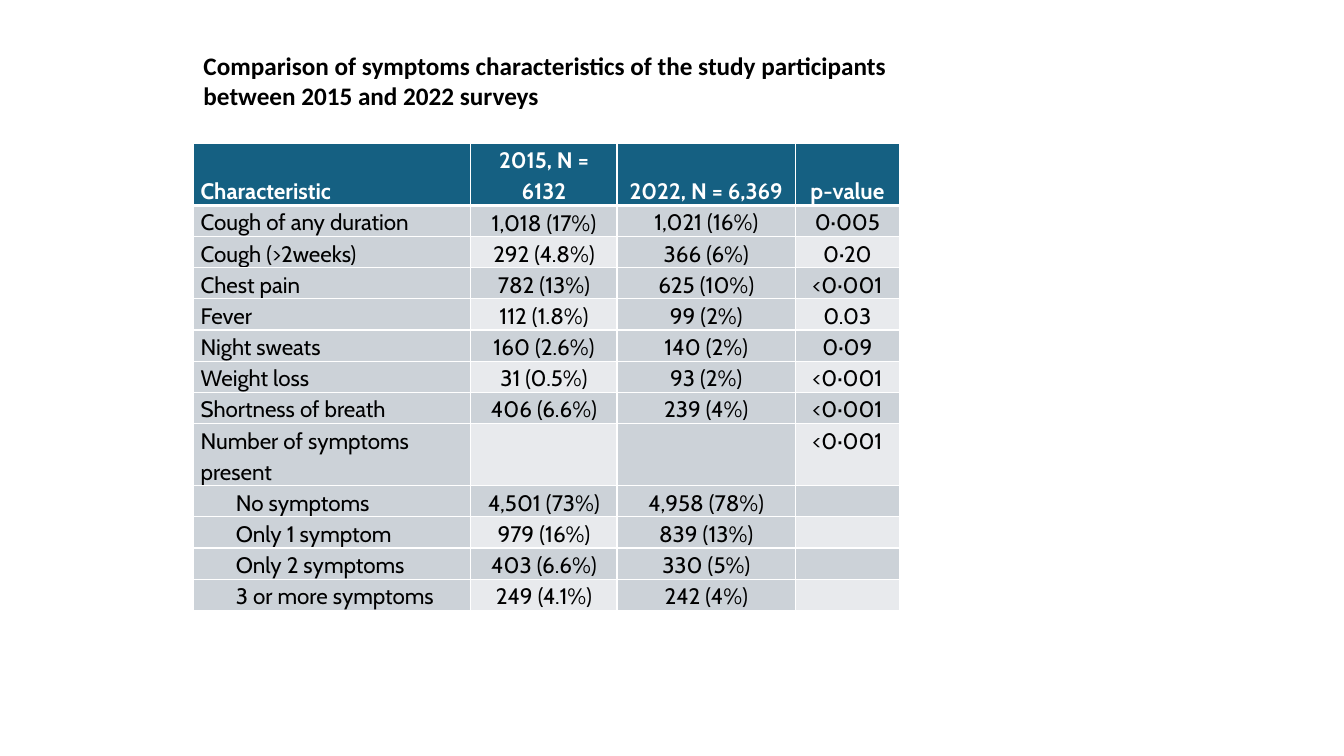
from lxml.etree import SubElement
from pptx import Presentation
from pptx.dml.color import RGBColor
from pptx.enum.text import MSO_ANCHOR, MSO_AUTO_SIZE, PP_ALIGN
from pptx.oxml.ns import qn
from pptx.util import Inches, Pt

TITLE = "Comparison of symptoms characteristics of the study participants between 2015 and 2022 surveys"
HEADER = ("Characteristic", "2015, N = 6132", "2022, N = 6,369", "p-value")
SYMPTOMS = [
    ("Cough of any duration", "1,018 (17%)", "1,021 (16%)", "0·005"),
    ("Cough (>2weeks)", "292 (4.8%)", "366 (6%)", "0·20"),
    ("Chest pain", "782 (13%)", "625 (10%)", "<0·001"),
    ("Fever", "112 (1.8%)", "99 (2%)", "0.03"),
    ("Night sweats", "160 (2.6%)", "140 (2%)", "0·09"),
    ("Weight loss", "31 (0.5%)", "93 (2%)", "<0·001"),
    ("Shortness of breath", "406 (6.6%)", "239 (4%)", "<0·001"),
    ("Number of symptoms present", "", "", "<0·001"),
]
COUNTS = [
    ("No symptoms", "4,501 (73%)", "4,958 (78%)", ""),
    ("Only 1 symptom", "979 (16%)", "839 (13%)", ""),
    ("Only 2 symptoms", "403 (6.6%)", "330 (5%)", ""),
    ("3 or more symptoms", "249 (4.1%)", "242 (4%)", ""),
]
ROWS = [HEADER] + SYMPTOMS + COUNTS
COLS = (2.75, 1.45, 1.77, 1.03)
LEFT, TOP, LINE = 1.92, 1.42, 0.3
TALL = (0, len(SYMPTOMS))

TEAL = RGBColor(0x15, 0x60, 0x82)
BAND = RGBColor(0xCC, 0xD2, 0xD8)
PALE = RGBColor(0xE8, 0xEA, 0xED)
WHITE = RGBColor(0xFF, 0xFF, 0xFF)
BLACK = RGBColor(0, 0, 0)

TITLE_FONT = {"name": "Calibri", "size": Pt(18), "bold": True}
HEAD_FONT = {"name": "Cabin", "size": Pt(16), "bold": True}
BODY_FONT = {"name": "Cabin", "size": Pt(16), "bold": False}
CELL_FORMAT = {"margin_left": Inches(0.07), "margin_right": Inches(0.07),
               "margin_top": 0, "margin_bottom": 0}


def apply(obj, values):
    for name, value in values.items():
        setattr(obj, name, value)


def write(p, text, font, color):
    r = p.add_run()
    r.text = text
    apply(r.font, font)
    r.font.color.rgb = color


def add_borders(cell, bottom):
    tcPr = cell._tc.get_or_add_tcPr()
    widths = {"a:lnL": 1, "a:lnR": 1, "a:lnT": 1, "a:lnB": bottom}
    for i, (tag, width) in enumerate(widths.items()):
        ln = SubElement(tcPr, qn(tag), w=str(Pt(width)))
        SubElement(SubElement(ln, qn("a:solidFill")), qn("a:srgbClr"), val=str(WHITE))
        tcPr.insert(i, ln)


def fill_cell(cell, row, col, text):
    head = row == 0
    apply(cell, CELL_FORMAT)
    if head:
        cell.vertical_anchor = MSO_ANCHOR.BOTTOM
    elif col == 1:
        cell.vertical_anchor = MSO_ANCHOR.MIDDLE
    cell.fill.solid()
    pale = row % 2 == 0 and col % 2 == 1
    cell.fill.fore_color.rgb = TEAL if head else PALE if pale else BAND
    add_borders(cell, 3 if head else 1)
    if not text:
        return
    p = cell.text_frame.paragraphs[0]
    p.line_spacing = 1.15
    p.alignment = PP_ALIGN.CENTER if col else PP_ALIGN.LEFT
    if col == 0 and row > len(SYMPTOMS):
        p._p.get_or_add_pPr().set("marL", str(Inches(0.35)))
    write(p, text, HEAD_FONT if head else BODY_FONT, WHITE if head else BLACK)


def main():
    prs = Presentation()
    prs.slide_width, prs.slide_height = Inches(13.33), Inches(7.5)
    s = prs.slides.add_slide(prs.slide_layouts[6])

    heights = [LINE * (2 if row in TALL else 1) for row in range(len(ROWS))]
    table = s.shapes.add_table(len(ROWS), len(COLS), Inches(LEFT), Inches(TOP),
                               Inches(sum(COLS)), Inches(sum(heights))).table
    for column, width in zip(table.columns, COLS):
        column.width = Inches(width)
    for row, (values, height) in enumerate(zip(ROWS, heights)):
        table.rows[row].height = Inches(height)
        for col, text in enumerate(values):
            fill_cell(table.cell(row, col), row, col, text)

    tf = s.shapes.add_textbox(Inches(LEFT), Inches(0.45), Inches(7.24), Inches(0.71)).text_frame
    apply(tf, {"word_wrap": True, "auto_size": MSO_AUTO_SIZE.SHAPE_TO_FIT_TEXT})
    write(tf.paragraphs[0], TITLE, TITLE_FONT, BLACK)
    prs.save("out.pptx")


if __name__ == "__main__":
    main()
